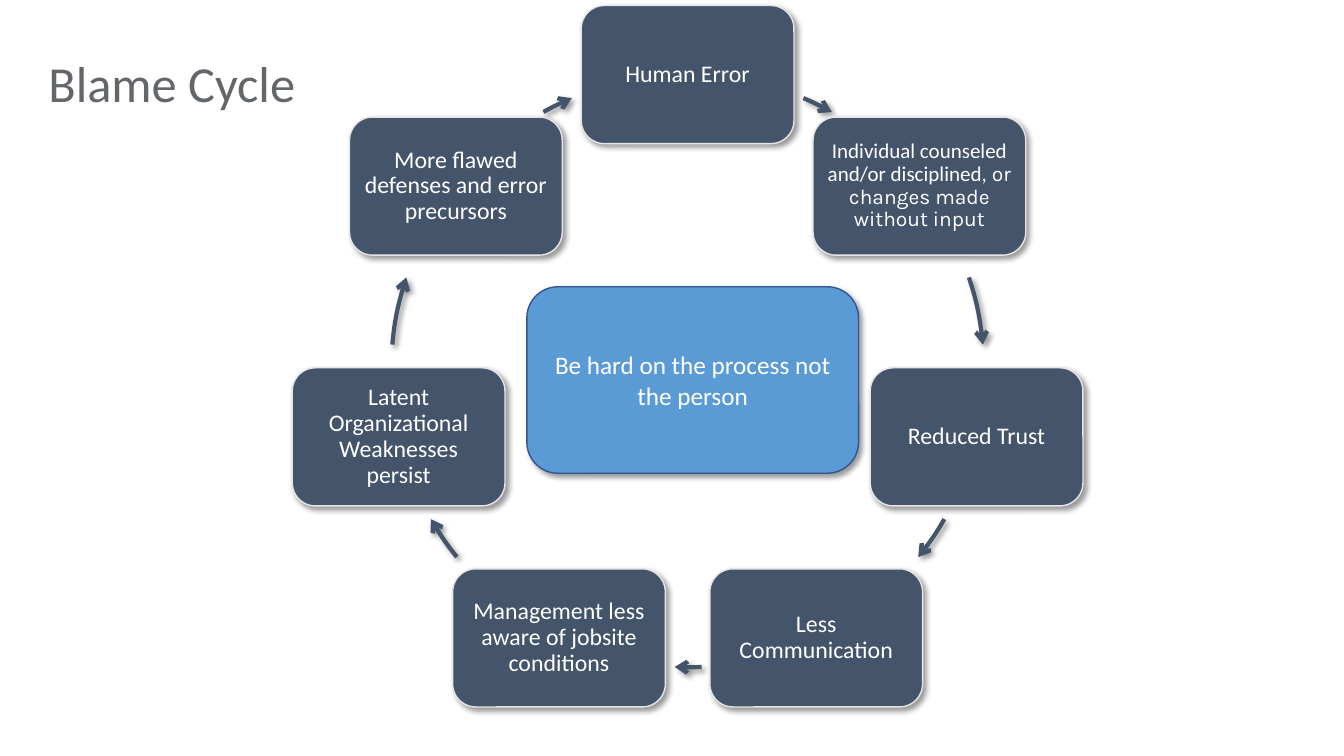
import math

from lxml import etree
from pptx import Presentation, util as u
from pptx.dml.color import RGBColor
from pptx.enum import shapes, text
from pptx.oxml import ns

# Colours and type
SLATE = RGBColor(0x44, 0x54, 0x6A)
PALE = RGBColor(0xE7, 0xE6, 0xE6)
BLUE = RGBColor(0x5B, 0x9B, 0xD5)
NAVY = RGBColor(0x32, 0x54, 0x91)
GREY = RGBColor(0x63, 0x66, 0x6A)
WHITE = RGBColor(0xFF, 0xFF, 0xFF)
FONT, ACCENT_FONT = "Calibri", "Karla"

# Ring geometry, in inches; angles run clockwise from the top
WIDTH, HEIGHT = 13.33, 7.5
CENTRE_X, CENTRE_Y, RADIUS = 6.82, 3.68, 2.94
STEP_WIDTH, STEP_HEIGHT = 2.11, 1.37
DEGREE = 60000

# Each step is a list of (wording, font) spans and a text size
STEPS = [
    ([("Human Error", FONT)], 17),
    ([("Individual counseled and/or disciplined,", FONT),
      (" or changes made without input", ACCENT_FONT)], 15),
    ([("Reduced Trust", FONT)], 17),
    ([("Less Communication", FONT)], 17),
    ([("Management less aware of jobsite conditions", FONT)], 17),
    ([("Latent Organizational Weaknesses persist", FONT)], 17),
    ([("More flawed defenses and error precursors", FONT)], 17),
]
# Arrows on the right half; the left half mirrors the first three
RIGHT_ARROWS = [(23, 29.1), (71.6, 84.9), (120, 128.9)]
BOTTOM_ARROW = (177.3, 182.5)


def ring_point(degrees):
    angle = math.radians(degrees)
    return (CENTRE_X + RADIUS * math.sin(angle),
            CENTRE_Y - RADIUS * math.cos(angle))


def add_shadow(shape):
    shape.shadow.inherit = False
    effects = shape._element.spPr.find(ns.qn("a:effectLst"))
    shadow = etree.SubElement(
        effects, ns.qn("a:outerShdw"), blurRad=str(u.Pt(4)),
        dist=str(u.Pt(3)), dir=str(45 * DEGREE), algn="tl", rotWithShape="0")
    color = etree.SubElement(shadow, ns.qn("a:srgbClr"), val="000000")
    etree.SubElement(color, ns.qn("a:alpha"), val="40000")


def format_span(span, font, size, color):
    span.font.name = font
    span.font.size = u.Pt(size)
    span.font.color.rgb = color


def add_box(page, centre, size, fill, outline, spans, points, inset, spacing):
    """Add a rounded, shadowed box with centred text."""
    (x, y), (width, height) = centre, size
    box = page.shapes.add_shape(
        shapes.MSO_SHAPE.ROUNDED_RECTANGLE, u.Inches(x - width / 2),
        u.Inches(y - height / 2), u.Inches(width), u.Inches(height))
    box.fill.solid()
    box.fill.fore_color.rgb = fill
    box.line.color.rgb = outline
    box.line.width = u.Pt(1)
    add_shadow(box)

    frame = box.text_frame
    frame.word_wrap = True
    frame.vertical_anchor = text.MSO_ANCHOR.MIDDLE
    frame.margin_left = frame.margin_right = u.Inches(inset)
    frame.margin_top = frame.margin_bottom = u.Inches(inset)
    para = frame.paragraphs[0]
    para.alignment = text.PP_ALIGN.CENTER
    para.line_spacing = spacing
    for wording, font in spans:
        span = para.add_run()
        span.text = wording
        format_span(span, font, points, WHITE)


def add_ring_arrow(page, start, end):
    """Add a curved arrow along the ring, framed by the whole ring."""
    left, top = CENTRE_X - RADIUS, CENTRE_Y - RADIUS
    builder = page.shapes.build_freeform(u.Inches(left), u.Inches(top))
    builder.add_line_segments(
        [(u.Inches(CENTRE_X + RADIUS), u.Inches(CENTRE_Y + RADIUS))],
        close=False)
    arrow = builder.convert_to_shape()

    # Draw a true arc in the frame; arc angles start at three o'clock
    outline = next(arrow._element.iter(ns.qn("a:path")))
    for step in list(outline):
        outline.remove(step)
    x, y = ring_point(start)
    move = etree.SubElement(outline, ns.qn("a:moveTo"))
    etree.SubElement(move, ns.qn("a:pt"), x=str(u.Inches(x - left)),
                     y=str(u.Inches(y - top)))
    radius = str(u.Inches(RADIUS))
    etree.SubElement(outline, ns.qn("a:arcTo"), wR=radius, hR=radius,
                     stAng=str(round((start + 270) % 360 * DEGREE)),
                     swAng=str(round((end - start) * DEGREE)))

    arrow.fill.background()
    arrow.line.color.rgb = SLATE
    arrow.line.width = u.Pt(3)
    line = arrow._element.spPr.find(ns.qn("a:ln"))
    etree.SubElement(line, ns.qn("a:tailEnd"), type="arrow")
    add_shadow(arrow)


def add_title(page, wording):
    title = page.shapes.title
    title.left, title.top = u.Inches(0.38), u.Inches(0.47)
    title.width, title.height = u.Inches(3.03), u.Inches(0.71)
    frame = title.text_frame
    frame.text = wording
    frame.word_wrap = True
    frame.vertical_anchor = text.MSO_ANCHOR.TOP
    para = frame.paragraphs[0]
    para.alignment = text.PP_ALIGN.LEFT
    format_span(para.runs[0], FONT, 36, GREY)


def main():
    deck = Presentation()
    deck.slide_width, deck.slide_height = u.Inches(WIDTH), u.Inches(HEIGHT)
    page = deck.slides.add_slide(deck.slide_layouts[5])
    add_title(page, "Blame Cycle")

    # Cycle of steps and the arrows between them
    left_arrows = [(360 - end, 360 - start)
                   for start, end in reversed(RIGHT_ARROWS)]
    arrows = RIGHT_ARROWS + [BOTTOM_ARROW] + left_arrows
    for index, ((spans, points), arrow) in enumerate(zip(STEPS, arrows)):
        add_box(page, ring_point(index * 360 / len(STEPS)),
                (STEP_WIDTH, STEP_HEIGHT), SLATE, PALE, spans, points,
                inset=0.07, spacing=0.9)
        add_ring_arrow(page, *arrow)

    # Central message
    add_box(page, (6.87, 3.77), (3.29, 1.85), BLUE, NAVY,
            [("Be hard on the process not the person", FONT)], 18,
            inset=0.1, spacing=1.0)
    deck.save("out.pptx")


if __name__ == "__main__":
    main()
